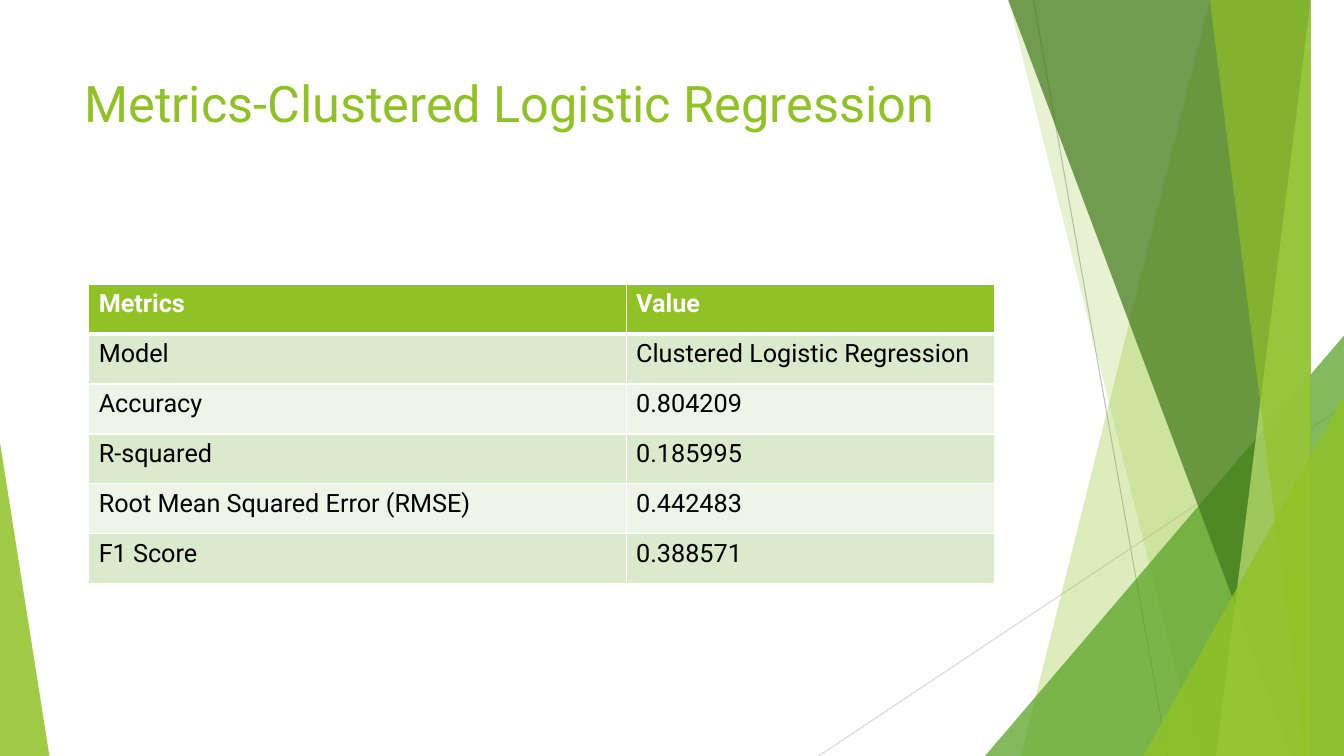
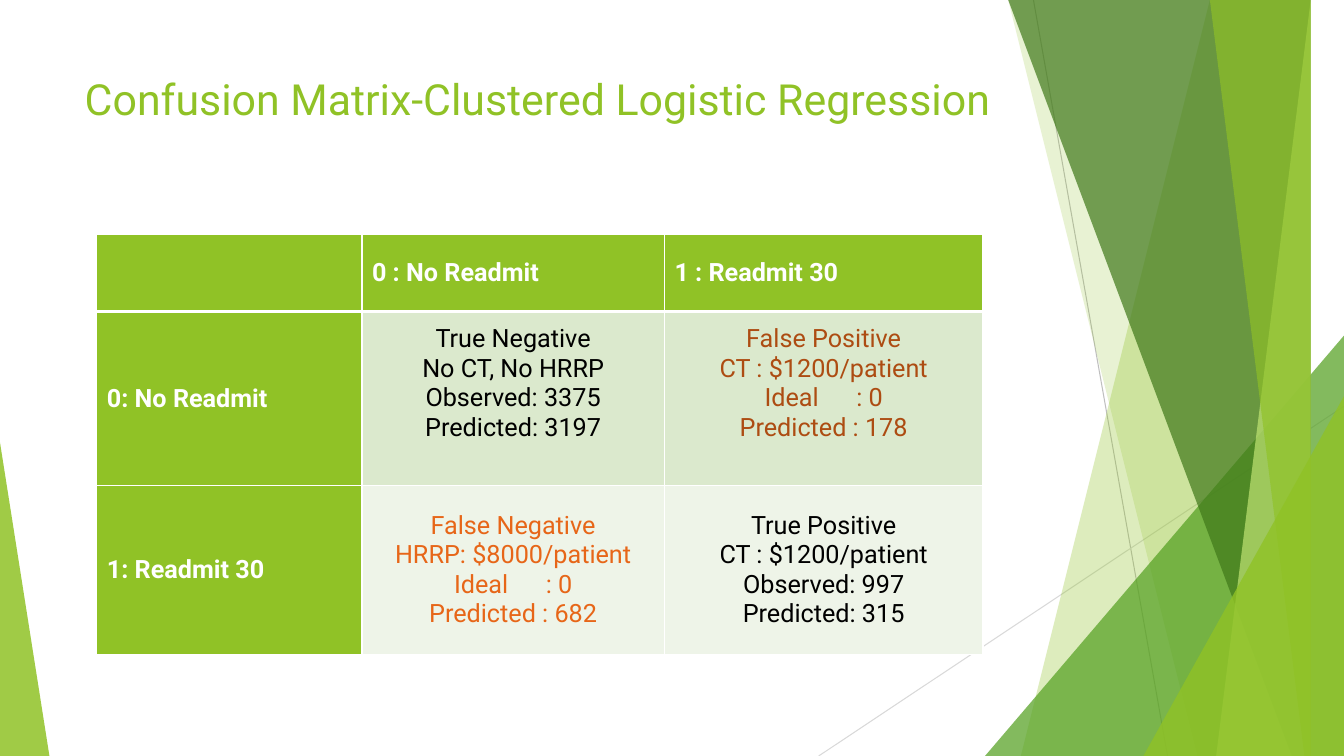
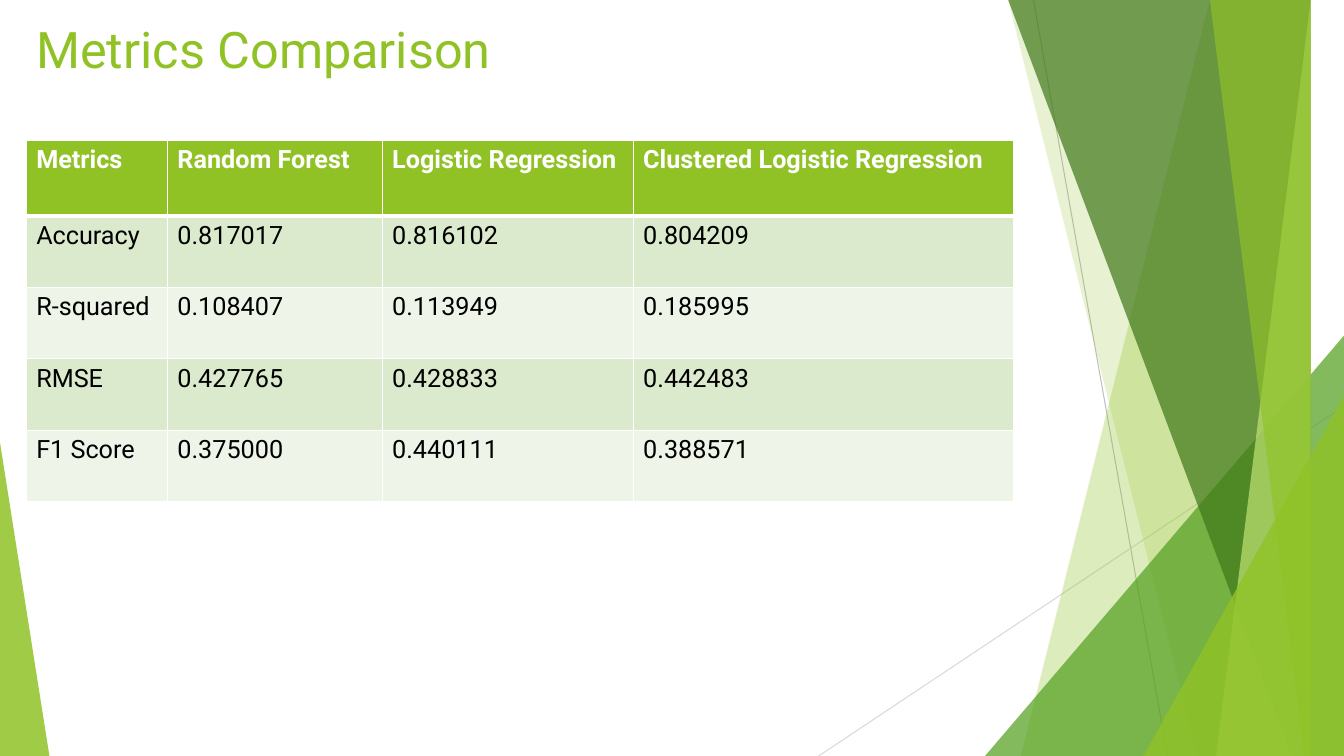
from dataclasses import dataclass, field

from lxml.etree import SubElement
from pptx import Presentation
from pptx.dml.color import RGBColor
from pptx.enum.shapes import MSO_CONNECTOR as CONN, MSO_SHAPE as SHAPE
from pptx.enum.text import MSO_ANCHOR as ANCHOR, MSO_AUTO_SIZE as AUTO, PP_ALIGN as ALIGN
from pptx.oxml.ns import qn
from pptx.util import Inches, Pt

WHITE = RGBColor(0xFF, 0xFF, 0xFF)
BLACK = RGBColor(0x00, 0x00, 0x00)
GREEN = RGBColor(0x90, 0xC2, 0x26)
MID_GREEN = RGBColor(0x54, 0xA0, 0x21)
DARK_GREEN = RGBColor(0x3F, 0x78, 0x19)
LIME = RGBColor(0xC0, 0xE4, 0x74)
BAND_DARK = RGBColor(0xDB, 0xE9, 0xCD)
BAND_LIGHT = RGBColor(0xEE, 0xF4, 0xE8)
RUST = RGBColor(0xAD, 0x4C, 0x12)
ORANGE = RGBColor(0xE7, 0x66, 0x18)
GREY = RGBColor(0xBF, 0xBF, 0xBF)
LIGHT_GREY = RGBColor(0xD9, 0xD9, 0xD9)

WIDTH, HEIGHT, TOP = 13.33, 7.5, -0.01
TITLE_FONT = {"name": "Roboto", "size": Pt(36), "bold": False}
HEAD_FONT = {"name": "Roboto", "size": Pt(18), "bold": True}
BODY_FONT = {"name": "Roboto", "size": Pt(18), "bold": False}
WIDE_SPACE = "2230"  # letter spacing of a tab-marked gap, in 1/100 pt


@dataclass
class Ray:
    start: tuple[float, float]
    end: tuple[float, float]
    color: RGBColor


@dataclass
class Facet:
    """A band running to the right edge; its left side is slanted."""
    top_x: float
    bottom_x: float
    color: RGBColor
    opacity: int


@dataclass
class Corner:
    """A right triangle standing on the bottom edge."""
    left: float
    width: float
    height: float
    apex: float
    color: RGBColor
    opacity: int


@dataclass
class TableSlide:
    title: str
    at: tuple[float, float]
    cols: list[float]
    heights: list[float]
    rows: list[list[str]]
    title_at: tuple[float, float] = (0.74, 0.67)
    title_size: float = 36
    matrix: bool = False  # header column, centred text
    colors: dict[tuple[int, int], RGBColor] = field(default_factory=dict)
    bottoms: dict[tuple[int, int], float] = field(default_factory=dict)


DECOR = [
    Ray((10.25, 0), (11.58, HEIGHT), GREY),
    Ray((WIDTH, 4.03), (8.12, HEIGHT), LIGHT_GREY),
    Facet(12.28, 10.04, GREEN, 30),
    Facet(10.5, 11.83, GREEN, 20),
    Corner(9.77, 3.56, 4.17, 1, MID_GREEN, 72),
    Facet(10.21, 12.91, DARK_GREEN, 70),
    Facet(13.03, 11.92, LIME, 70),
    Facet(11.96, 13.18, GREEN, 65),
    Corner(11.34, 1.99, 3.57, 1, GREEN, 80),
    Corner(0, 0.49, 3.11, 0, GREEN, 85),
]

SLIDES = [
    TableSlide(
        "Metrics-Clustered Logistic Regression", (0.88, 2.82),
        [5.33, 3.65], [2.97 / 6] * 6,
        [["Metrics", "Value"],
         ["Model", "Clustered Logistic Regression"],
         ["Accuracy", "0.804209"],
         ["R-squared", "0.185995"],
         ["Root Mean Squared Error (RMSE)", "0.442483"],
         ["F1 Score", "0.388571"]]),
    TableSlide(
        "Confusion Matrix-Clustered Logistic Regression", (0.96, 2.33),
        [2.63, 3, 3.16], [0.76, 1.73, 1.67],
        [["", "0 : No Readmit", "1 : Readmit 30"],
         ["0: No Readmit",
          "True Negative\nNo CT, No HRRP\nObserved: 3375\nPredicted: 3197",
          "False Positive\nCT : $1200/patient\nIdeal\t: 0\nPredicted : 178"],
         ["1: Readmit 30",
          "False Negative\nHRRP: $8000/patient\nIdeal\t: 0\nPredicted : 682",
          "True Positive\nCT : $1200/patient\nObserved: 997\nPredicted: 315"]],
        title_size=30.6, matrix=True,
        colors={(1, 2): RUST, (2, 1): ORANGE},
        bottoms={(1, 1): 0.35, (1, 2): 0.35}),
    TableSlide(
        "Metrics Comparison", (0.26, 1.39),
        [1.4, 2.13, 2.49, 3.77], [0.75] + [0.71] * 4,
        [["Metrics", "Random Forest", "Logistic Regression", "Clustered Logistic Regression"],
         ["Accuracy", "0.817017", "0.816102", "0.804209"],
         ["R-squared", "0.108407", "0.113949", "0.185995"],
         ["RMSE", "0.427765", "0.428833", "0.442483"],
         ["F1 Score", "0.375000", "0.440111", "0.388571"]],
        title_at=(0.26, 0.13)),
]


def set_font(font, values: dict, color: RGBColor) -> None:
    for name, value in values.items():
        setattr(font, name, value)
    font.color.rgb = color


def paint(sp, color: RGBColor, opacity: int) -> None:
    sp.shadow.inherit = False
    sp.line.fill.background()
    sp.fill.solid()
    sp.fill.fore_color.rgb = color
    clr = sp.fill._xPr.find(qn("a:solidFill"))[0]
    SubElement(clr, qn("a:alpha"), val=str(opacity * 1000))


def draw_decor(slide) -> None:
    for d in DECOR:
        if isinstance(d, Ray):
            ends = [Inches(v) for v in (*d.start, *d.end)]
            line = slide.shapes.add_connector(CONN.STRAIGHT, *ends)
            line.line.color.rgb = d.color
            line.line.width = Pt(0.75)
            SubElement(line._element.spPr, qn("a:effectLst"))
        elif isinstance(d, Facet):
            fb = slide.shapes.build_freeform(d.top_x, TOP, scale=Inches(1))
            fb.add_line_segments([(WIDTH, TOP), (WIDTH, HEIGHT), (d.bottom_x, HEIGHT)])
            paint(fb.convert_to_shape(), d.color, d.opacity)
        else:
            sp = slide.shapes.add_shape(
                SHAPE.ISOSCELES_TRIANGLE, Inches(d.left), Inches(HEIGHT - d.height),
                Inches(d.width), Inches(d.height))
            sp.adjustments[0] = d.apex
            paint(sp, d.color, d.opacity)


def set_title(slide, spec_: TableSlide) -> None:
    sp = slide.shapes.title
    sp.left, sp.top = (Inches(v) for v in spec_.title_at)
    sp.width, sp.height = Inches(9.4), Inches(0.83)
    tf = sp.text_frame
    tf.text = spec_.title
    tf.word_wrap, tf.auto_size, tf.vertical_anchor = True, AUTO.NONE, ANCHOR.TOP
    p = tf.paragraphs[0]
    p.alignment = ALIGN.LEFT
    set_font(p.runs[0].font, TITLE_FONT | {"size": Pt(spec_.title_size)}, GREEN)


def set_borders(cell, row: int) -> None:
    tc_pr = cell._tc.get_or_add_tcPr()
    # The rule between header and body is thicker
    widths = {"L": 1, "R": 1, "T": 3 if row == 1 else 1, "B": 3 if row == 0 else 1}
    for side, width in widths.items():
        ln = SubElement(tc_pr, qn(f"a:ln{side}"), w=str(Pt(width)))
        fill = SubElement(ln, qn("a:solidFill"))
        SubElement(fill, qn("a:srgbClr"), val=str(WHITE))


def write_line(p, text: str, values: dict, color: RGBColor) -> None:
    before, tab, after = text.partition("\t")
    for part in (before, " ", after) if tab else (text,):
        r = p.add_run()
        r.text = part
        set_font(r.font, values, color)
        if part == " ":
            r._r.get_or_add_rPr().set("spc", WIDE_SPACE)


def draw_table(slide, t: TableSlide) -> None:
    frame = slide.shapes.add_table(
        len(t.rows), len(t.cols), *(Inches(v) for v in (*t.at, sum(t.cols), sum(t.heights))))
    table = frame.table
    table.first_row = table.horz_banding = False
    for col, width in zip(table.columns, t.cols):
        col.width = Inches(width)
    for i, texts in enumerate(t.rows):
        table.rows[i].height = Inches(t.heights[i])
        for j, text in enumerate(texts):
            cell = table.cell(i, j)
            head = i == 0 or (t.matrix and j == 0)
            set_borders(cell, i)
            cell.fill.solid()
            cell.fill.fore_color.rgb = GREEN if head else BAND_DARK if i % 2 else BAND_LIGHT
            cell.vertical_anchor = ANCHOR.MIDDLE if t.matrix else ANCHOR.TOP
            cell.margin_bottom = Inches(t.bottoms.get((i, j), 0.05))
            if not text:
                continue
            color = WHITE if head else t.colors.get((i, j), BLACK)
            tf = cell.text_frame
            for n, line in enumerate(text.split("\n")):
                p = tf.add_paragraph() if n else tf.paragraphs[0]
                p.alignment = ALIGN.CENTER if t.matrix and not head else ALIGN.LEFT
                write_line(p, line, HEAD_FONT if head else BODY_FONT, color)


def main() -> None:
    prs = Presentation()
    prs.slide_width, prs.slide_height = Inches(WIDTH), Inches(HEIGHT)
    for t in SLIDES:
        s = prs.slides.add_slide(prs.slide_layouts[5])  # Title Only
        draw_decor(s)
        set_title(s, t)
        draw_table(s, t)
    prs.save("out.pptx")


if __name__ == "__main__":
    main()
